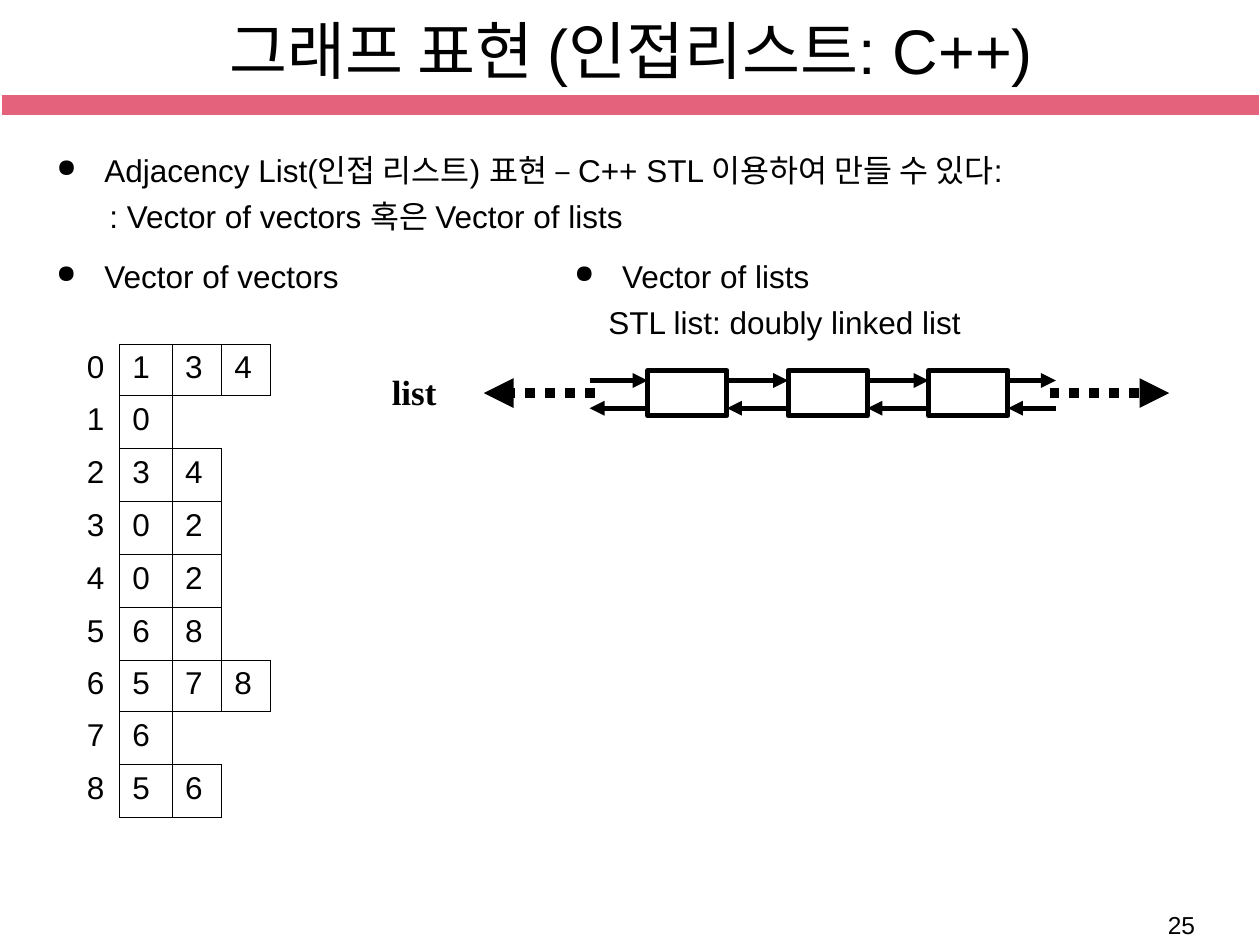
from lxml.etree import SubElement
from pptx import Presentation
from pptx.dml.color import RGBColor
from pptx.enum.dml import MSO_LINE
from pptx.enum.shapes import MSO_CONNECTOR, MSO_SHAPE
from pptx.enum.text import MSO_ANCHOR, MSO_AUTO_SIZE, PP_ALIGN
from pptx.oxml.ns import qn
from pptx.util import Inches, Pt

BLACK, WHITE, PINK = "000000", "FFFFFF", "E4627B"
TITLE = "그래프 표현 (인접리스트: C++)"
PAGE_NUMBER = "25"
SECTIONS = [
    ((0.35, 1.15, 8.58, 0.87),
     "Adjacency List(인접 리스트) 표현 – C++ STL 이용하여 만들 수 있다:",
     ": Vector of vectors 혹은 Vector of lists", 0.42),
    ((0.35, 1.99, 2.76, 0.52), "Vector of vectors", None, 0),
    ((4.46, 1.99, 4.82, 0.99), "Vector of lists",
     "STL list: doubly linked list", 0.27),
]
ADJACENCY = [[1, 3, 4], [0], [3, 4], [0, 2], [0, 2], [6, 8], [5, 7, 8], [6], [5, 6]]
COLUMN_WIDTHS = [0.36, 0.42, 0.39, 0.39]
TABLE_LEFT, TABLE_TOP = 0.59, 2.73
FULL_ROW, SHORT_ROW = 0.41, 0.42

NODE_COUNT, NODE_LEFT, NODE_TOP = 3, 5.14, 2.94
NODE_WIDTH, NODE_HEIGHT, NODE_PITCH = 0.63, 0.36, 1.115
CHAIN_START, CHAIN_END = 4.68, 8.38
FORWARD_Y, BACKWARD_Y, DOTTED_Y = 3.02, 3.24, 3.12
DOTTED_ENDS = [(4.72, 3.84), (8.33, 9.28)]


def color(value):
    return RGBColor.from_string(value)


def style(paragraph, size, name="Arial", bold=False):
    paragraph.font.size = Pt(size)
    paragraph.font.name = name
    paragraph.font.bold = bold
    paragraph.font.color.rgb = color(BLACK)


def add_text_box(slide, box):
    frame = slide.shapes.add_textbox(*map(Inches, box)).text_frame
    frame.word_wrap = True
    return frame


def add_bullet(paragraph):
    properties = paragraph._p.get_or_add_pPr()
    properties.set("marL", str(Inches(0.38)))
    properties.set("indent", str(-Inches(0.38)))
    bullet_color = SubElement(properties, qn("a:buClr"))
    SubElement(bullet_color, qn("a:srgbClr"), val=BLACK)
    SubElement(properties, qn("a:buSzPct"), val="80000")
    SubElement(properties, qn("a:buChar"), char="●")


def add_section(slide, box, heading, detail, indent):
    frame = add_text_box(slide, box)
    paragraph = frame.paragraphs[0]
    paragraph.text = heading
    add_bullet(paragraph)
    if detail:
        paragraph = frame.add_paragraph()
        paragraph.text = detail
        paragraph.space_before = Pt(4.5)
        paragraph._p.get_or_add_pPr().set("marL", str(Inches(indent)))
    for paragraph in frame.paragraphs:
        paragraph.alignment = PP_ALIGN.JUSTIFY
        style(paragraph, 18)


def set_border(cell, side, visible):
    properties = cell._tc.get_or_add_tcPr()
    line = SubElement(properties, qn(f"a:ln{side}"), w=str(Pt(0.45)))
    if visible:
        fill = SubElement(line, qn("a:solidFill"))
        SubElement(fill, qn("a:srgbClr"), val=BLACK)
    else:
        SubElement(line, qn("a:noFill"))


def is_neighbor(row, column):
    return 0 <= row < len(ADJACENCY) and 1 <= column <= len(ADJACENCY[row])


def add_adjacency_table(slide):
    columns = len(COLUMN_WIDTHS)
    heights = [FULL_ROW if len(neighbors) == columns - 1 else SHORT_ROW
               for neighbors in ADJACENCY]
    table = slide.shapes.add_table(
        len(ADJACENCY), columns, Inches(TABLE_LEFT), Inches(TABLE_TOP),
        Inches(sum(COLUMN_WIDTHS)), Inches(sum(heights))).table
    table.first_row = table.horz_banding = False
    for column, width in enumerate(COLUMN_WIDTHS):
        table.columns[column].width = Inches(width)
    for row, neighbors in enumerate(ADJACENCY):
        table.rows[row].height = Inches(heights[row])
        values = [row, *neighbors]
        for column in range(columns):
            cell = table.cell(row, column)
            if column < len(values):
                cell.text = str(values[column])
            style(cell.text_frame.paragraphs[0], 18)
            for side, down, across in (("L", 0, -1), ("R", 0, 1),
                                       ("T", -1, 0), ("B", 1, 0)):
                visible = (is_neighbor(row, column)
                           or is_neighbor(row + down, column + across))
                set_border(cell, side, visible)
            cell.fill.background()


def add_arrow(slide, start, end, y, width=2.83, dash=None):
    connector = slide.shapes.add_connector(
        MSO_CONNECTOR.STRAIGHT, Inches(start), Inches(y), Inches(end), Inches(y))
    connector.line.color.rgb = color(BLACK)
    connector.line.width = Pt(width)
    if dash:
        connector.line.dash_style = dash
    SubElement(connector.line._get_or_add_ln(), qn("a:tailEnd"), type="triangle")
    SubElement(connector._element.spPr, qn("a:effectLst"))


def add_linked_list(slide):
    lefts = [NODE_LEFT + NODE_PITCH * index for index in range(NODE_COUNT)]
    for left in lefts:
        node = slide.shapes.add_shape(
            MSO_SHAPE.ROUNDED_RECTANGLE, Inches(left), Inches(NODE_TOP),
            Inches(NODE_WIDTH), Inches(NODE_HEIGHT))
        node.adjustments[0] = 0
        node.shadow.inherit = False
        node.fill.background()
        node.line.color.rgb = color(BLACK)
        node.line.width = Pt(2.83)
    for start, end in DOTTED_ENDS:
        add_arrow(slide, start, end, DOTTED_Y, 5.67, MSO_LINE.ROUND_DOT)
    gap_starts = [CHAIN_START] + [left + NODE_WIDTH for left in lefts]
    gap_ends = lefts + [CHAIN_END]
    for start, end in zip(gap_starts, gap_ends):
        add_arrow(slide, start, end, FORWARD_Y)
        add_arrow(slide, end, start, BACKWARD_Y)
    frame = add_text_box(slide, (3.11, 2.94, 0.94, 0.33))
    frame.margin_left = frame.margin_right = frame.margin_top = frame.margin_bottom = 0
    frame.text = "list"
    style(frame.paragraphs[0], 20, "Times New Roman", True)


def add_title(slide):
    title = slide.shapes.title
    title.left, title.top, title.width, title.height = map(
        Inches, (0.88, 0.02, 8.26, 0.75))
    frame = title.text_frame
    frame.text = TITLE
    frame.auto_size = MSO_AUTO_SIZE.NONE
    frame.vertical_anchor = MSO_ANCHOR.MIDDLE
    frame.paragraphs[0].alignment = PP_ALIGN.CENTER
    style(frame.paragraphs[0], 36)


def main():
    presentation = Presentation()
    presentation.slide_width, presentation.slide_height = Inches(10), Inches(7.5)
    slide = presentation.slides.add_slide(presentation.slide_layouts[5])
    add_title(slide)

    bar = slide.shapes.add_shape(
        MSO_SHAPE.RECTANGLE, *map(Inches, (0.01, 0.75, 9.99, 0.17)))
    bar.shadow.inherit = False
    bar.fill.solid()
    bar.fill.fore_color.rgb = color(PINK)
    bar.line.color.rgb = color(WHITE)
    bar.line.width = Pt(1)

    frame = add_text_box(slide, (9.17, 7.17, 0.57, 0.33))
    frame.text = PAGE_NUMBER
    style(frame.paragraphs[0], 14)

    for section in SECTIONS:
        add_section(slide, *section)
    add_adjacency_table(slide)
    add_linked_list(slide)
    presentation.save("out.pptx")


if __name__ == "__main__":
    main()
